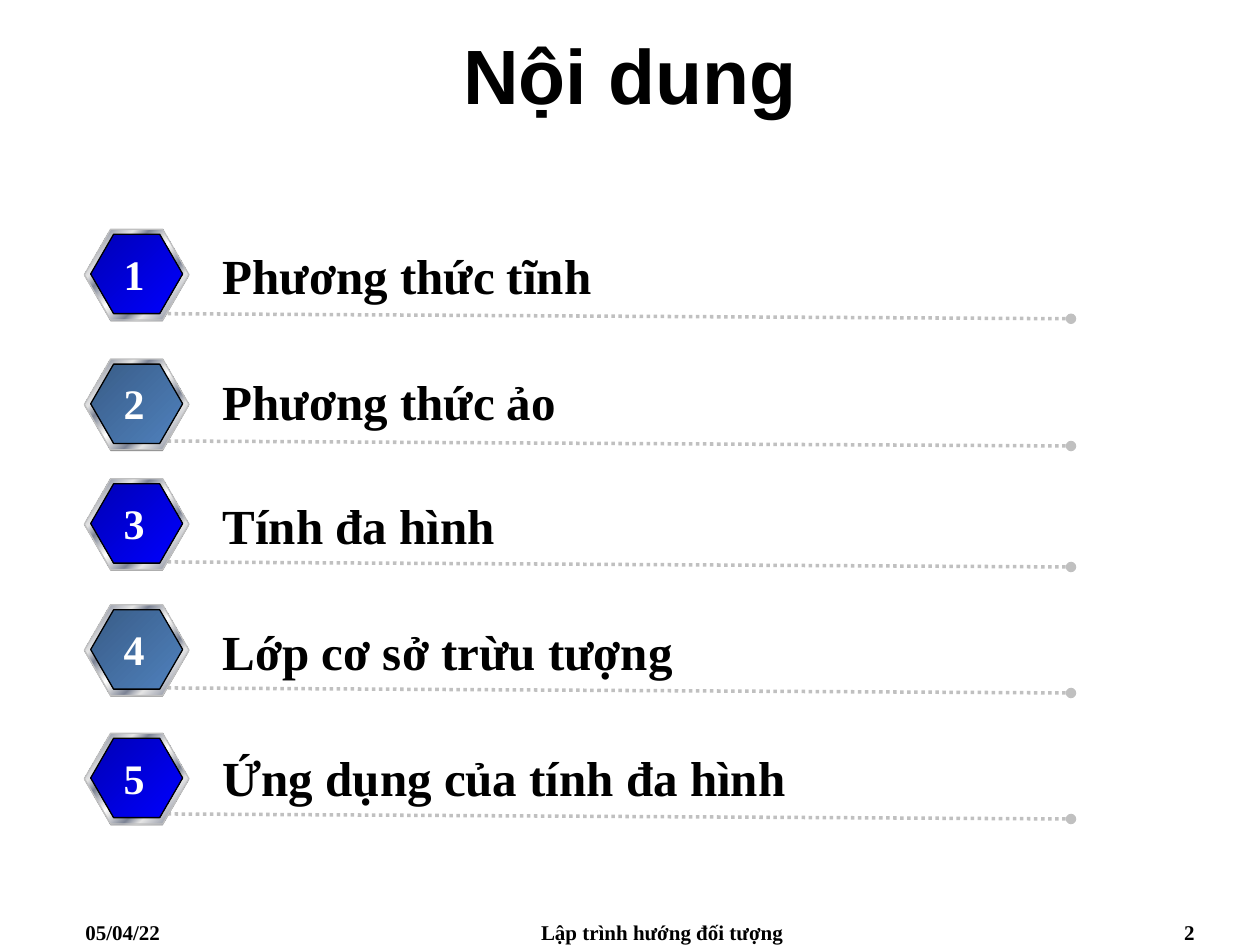
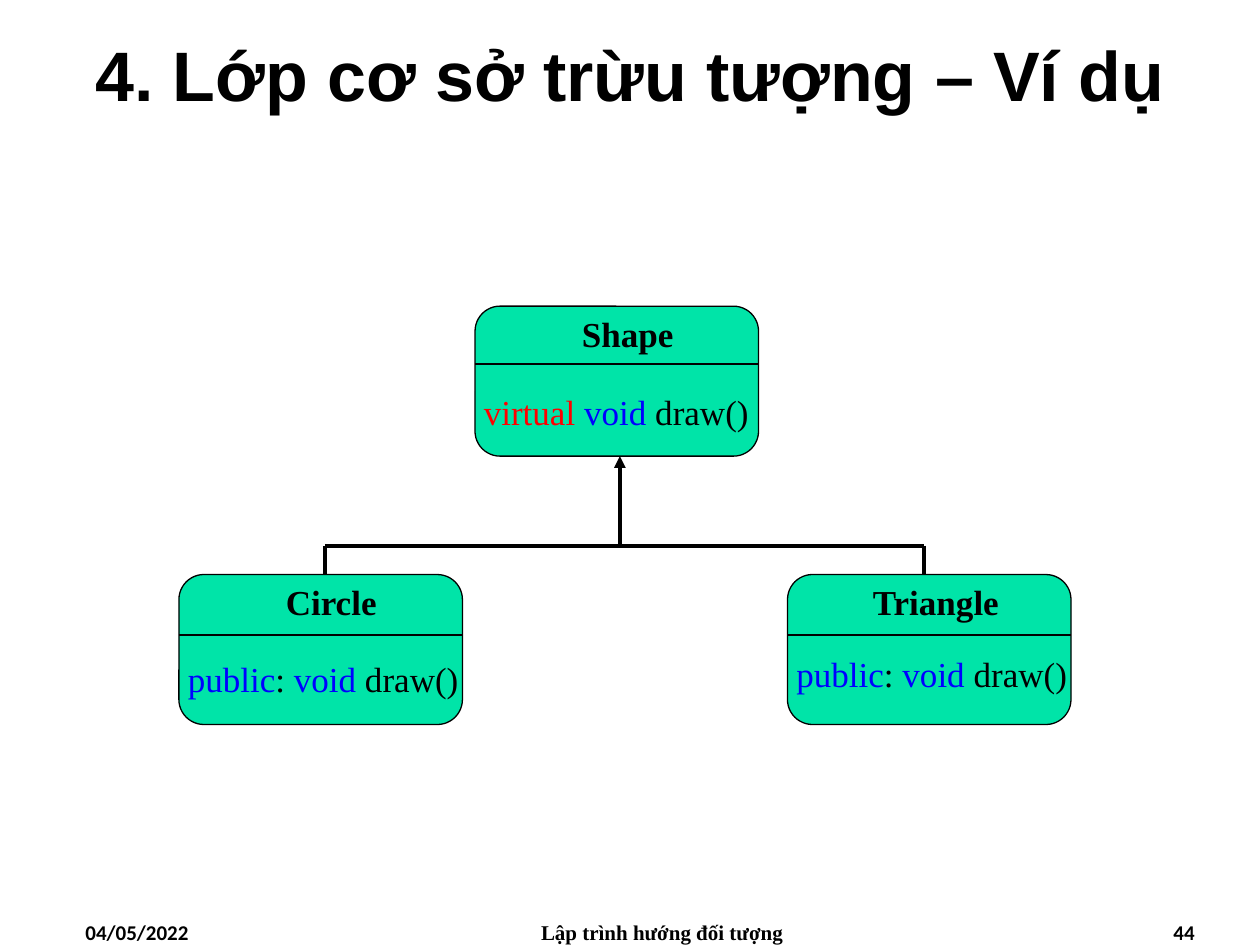
import pptx
import pptx.util
import pptx.dml.color
import pptx.enum.dml
import pptx.enum.shapes
import pptx.enum.text
import pptx.oxml
import pptx.oxml.ns

Inches = pptx.util.Inches
Pt = pptx.util.Pt
RGBColor = pptx.dml.color.RGBColor
MSO_SHAPE = pptx.enum.shapes.MSO_SHAPE
PP_ALIGN = pptx.enum.text.PP_ALIGN
MSO_ANCHOR = pptx.enum.text.MSO_ANCHOR

BLACK = RGBColor(0x00, 0x00, 0x00)
WHITE = RGBColor(0xFF, 0xFF, 0xFF)
RED = RGBColor(0xFF, 0x00, 0x00)
BLUE = RGBColor(0x00, 0x00, 0xFF)
NAVY = RGBColor(0x00, 0x00, 0xB6)
SLATE = RGBColor(0x39, 0x5C, 0x87)
STEEL = RGBColor(0x4F, 0x81, 0xBD)
GRAY = RGBColor(0x80, 0x80, 0x80)
SILVER = RGBColor(0xC0, 0xC0, 0xC0)
PALE = RGBColor(0xE6, 0xE6, 0xE6)
CHROME = RGBColor(0x7D, 0x84, 0x96)
GREEN = RGBColor(0x00, 0xE4, 0xA8)

SERIF = "Times New Roman"
SANS = "Arial"
FOOTER = "Lập trình hướng đối tượng"

METAL = [(0, PALE), (7, CHROME), (26, PALE), (34, CHROME), (46, PALE), (50, WHITE),
         (54, PALE), (66, CHROME), (74, PALE), (93, CHROME), (100, PALE)]
FACES = [[(0, NAVY), (100, BLUE)], [(0, SLATE), (100, STEEL)]]

# label, badge top, label top, rule top
AGENDA = [
    ("Phương thức tĩnh", 1.82, 1.90, 2.49),
    ("Phương thức ảo", 2.85, 2.90, 3.50),
    ("Tính đa hình", 3.80, 3.88, 4.46),
    ("Lớp cơ sở trừu tượng", 4.80, 4.88, 5.46),
    ("Ứng dụng của tính đa hình", 5.82, 5.88, 6.46),
]

OVERRIDE = [("public", BLUE), (": ", BLACK), ("void", BLUE), (" draw()", BLACK)]
CLASSES = [
    dict(name="Shape", left=3.77, top=2.43, name_dx=0.75, rule_dy=0.46, body_dy=0.62,
         body=[("virtual ", RED), ("void", BLUE), (" draw()", BLACK)]),
    dict(name="Circle", left=1.42, top=4.56, name_dx=0.75, rule_dy=0.48, body_dy=0.61,
         body=OVERRIDE),
    dict(name="Triangle", left=6.25, top=4.56, name_dx=0.58, rule_dy=0.48, body_dy=0.57,
         body=OVERRIDE),
]
CLASS_W, CLASS_H = 2.25, 1.19
BUS_Y, BUS_LEFT, BUS_MID, BUS_RIGHT = 4.33, 2.58, 4.92, 7.33


def add_run(p, text, size, color=BLACK, bold=False, font=SERIF):
    r = p.add_run()
    r.text = text
    r.font.size = Pt(size)
    r.font.name = font
    r.font.bold = bold
    r.font.color.rgb = color


def add_text(s, box, runs, size, bold=False, font=SERIF, align=PP_ALIGN.LEFT,
             wrap=True, inset=0.1):
    tf = s.shapes.add_textbox(*map(Inches, box)).text_frame
    tf.word_wrap = wrap
    tf.margin_left = Inches(inset)
    tf.margin_right = Inches(inset if inset == 0.1 else 0)
    p = tf.paragraphs[0]
    p.alignment = align
    for text, color in runs:
        add_run(p, text, size, color, bold, font)


def add_line(s, start, end, color, width, dash=None, tail=None):
    line = s.shapes.add_connector(pptx.enum.shapes.MSO_CONNECTOR.STRAIGHT,
                                  *map(Inches, start + end))
    line.line.color.rgb = color
    line.line.width = Pt(width)
    if dash:
        line.line.dash_style = dash
    if tail:
        end_mark = pptx.oxml.parse_xml(
            f'<a:tailEnd {pptx.oxml.ns.nsdecls("a")} type="{tail}"/>')
        line.line._get_or_add_ln().append(end_mark)
    line._element.spPr.append(
        pptx.oxml.parse_xml(f'<a:effectLst {pptx.oxml.ns.nsdecls("a")}/>'))


def add_filled(s, kind, box, fill, outline=None):
    sp = s.shapes.add_shape(kind, *map(Inches, box))
    sp.shadow.inherit = False
    if isinstance(fill, list):
        stops = "".join(f'<a:gs pos="{pos * 1000}"><a:srgbClr val="{color}"/></a:gs>'
                        for pos, color in fill)
        sp._element.spPr.prstGeom.addnext(pptx.oxml.parse_xml(
            f'<a:gradFill {pptx.oxml.ns.nsdecls("a")} rotWithShape="1">'
            f'<a:gsLst>{stops}</a:gsLst><a:lin ang="2700000" scaled="1"/></a:gradFill>'))
    else:
        sp.fill.solid()
        sp.fill.fore_color.rgb = fill
    if outline is None:
        sp.line.fill.background()
    else:
        sp.line.color.rgb = outline
        sp.line.width = Pt(0.75)
    return sp


def add_slide(prs, title, title_size, date, number, footer_font):
    s = prs.slides.add_slide(prs.slide_layouts[5])
    sp = s.shapes.title
    sp.left, sp.top, sp.width, sp.height = map(Inches, (0, 0, 10, 1.17))
    tf = sp.text_frame
    tf.vertical_anchor = MSO_ANCHOR.MIDDLE
    tf.paragraphs[0].alignment = PP_ALIGN.CENTER
    add_run(tf.paragraphs[0], title, title_size, bold=True, font=SANS)
    for text, left, width, align, font in [
        (date, 0.58, 2.33, PP_ALIGN.LEFT, footer_font),
        (FOOTER, 3.67, 3.17, PP_ALIGN.CENTER, SERIF),
        (number, 7.25, 2.33, PP_ALIGN.RIGHT, footer_font),
    ]:
        add_text(s, (left, 7.25, width, 0.25), [(text, BLACK)], 12, True, font, align)
    return s


def add_badge(s, number, top):
    face = FACES[(number - 1) % 2]
    for box, fill, outline in [
        ((0.67, top + 0.01, 0.83, 0.72), GRAY, None),
        ((0.67, top, 0.83, 0.72), METAL, SILVER),
        ((0.72, top + 0.04, 0.73, 0.63), face, BLACK),
    ]:
        add_filled(s, MSO_SHAPE.HEXAGON, box, fill, outline).adjustments[0] = 0.289
    add_text(s, (0.88, top + 0.1, 0.37, 0.5), [(str(number), WHITE)], 24, True,
             align=PP_ALIGN.CENTER, wrap=False)


def add_class(s, name, left, top, name_dx, rule_dy, body_dy, body):
    add_filled(s, MSO_SHAPE.FLOWCHART_ALTERNATE_PROCESS,
               (left, top, CLASS_W, CLASS_H), GREEN, BLACK)
    add_text(s, (left + name_dx, top, 1.33, 0.44), [(name, BLACK)], 20, True)
    add_line(s, (left, top + rule_dy), (left + CLASS_W, top + rule_dy), BLACK, 0.75)
    add_text(s, (left, top + body_dy, CLASS_W, 0.44), body, 20, inset=0.07)


def build_agenda(prs):
    s = add_slide(prs, "Nội dung", 44, "05/04/22", "2", SERIF)
    for number, (label, badge_top, label_top, rule_top) in enumerate(AGENDA, 1):
        add_line(s, (1.33, rule_top), (8.5, rule_top + 0.04), SILVER, 2,
                 pptx.enum.dml.MSO_LINE.ROUND_DOT, "oval")
        add_badge(s, number, badge_top)
        add_text(s, (1.67, label_top, 6.67, 0.57), [(label, BLACK)], 28, True)


def build_class_diagram(prs):
    s = add_slide(prs, "4. Lớp cơ sở trừu tượng – Ví dụ", 40, "04/05/2022", "44", "Calibri")
    for item in CLASSES:
        add_class(s, **item)
    add_line(s, (BUS_LEFT, BUS_Y), (BUS_RIGHT, BUS_Y), BLACK, 2.25)
    for x in (BUS_LEFT, BUS_RIGHT):
        add_line(s, (x, BUS_Y), (x, 4.56), BLACK, 2.25)
    add_line(s, (BUS_MID, BUS_Y), (BUS_MID, 3.62), BLACK, 2.25, tail="triangle")


def main():
    prs = pptx.Presentation()
    prs.slide_width, prs.slide_height = Inches(10), Inches(7.5)
    build_agenda(prs)
    build_class_diagram(prs)
    prs.save("out.pptx")


if __name__ == "__main__":
    main()
